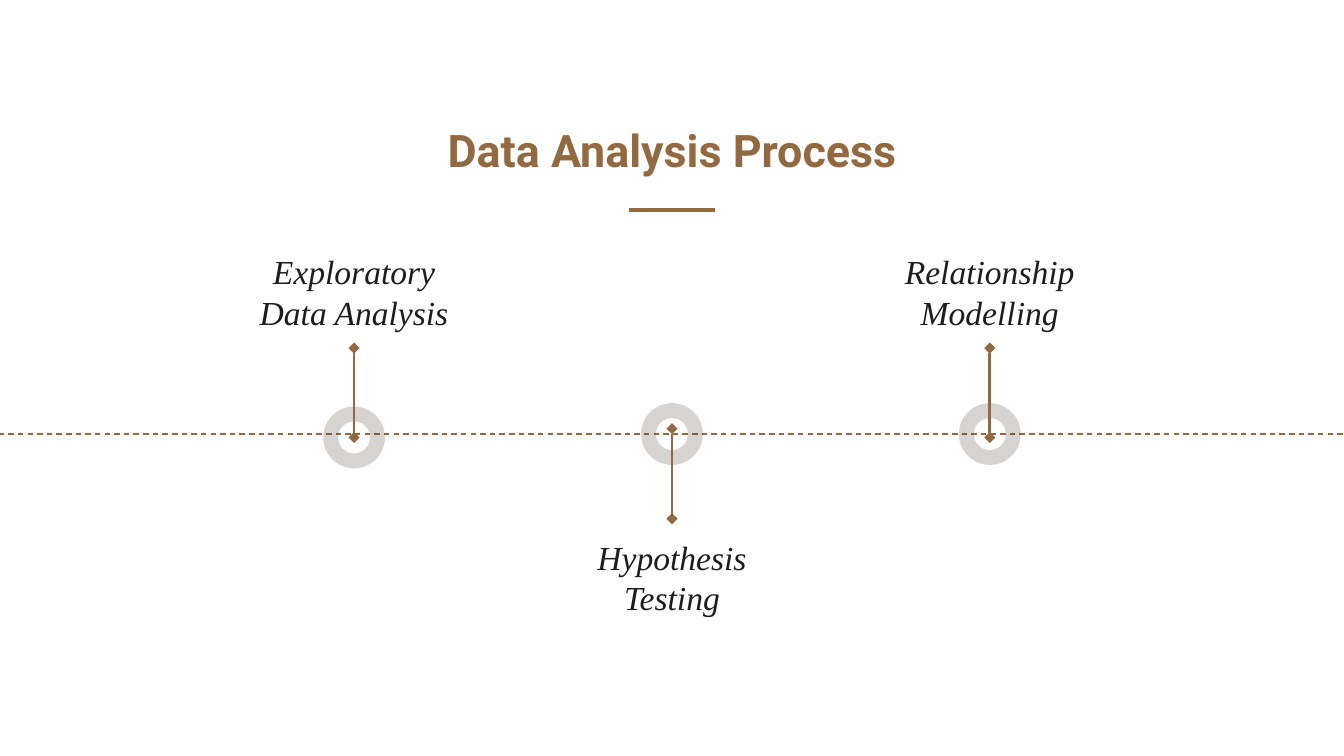
import pptx
import pptx.util
import pptx.dml.color
import pptx.enum.dml
import pptx.enum.shapes
import pptx.enum.text
import pptx.oxml.ns
import lxml.etree

PX = 4572  # 200 px to the inch
BROWN = "926940"
color = pptx.dml.color.RGBColor.from_string
tag = pptx.oxml.ns.qn


def write(shape, text, *, font, size, fill, bold=False, italic=False, anchor="TOP"):
    frame = shape.text_frame
    frame.word_wrap = True
    frame.auto_size = pptx.enum.text.MSO_AUTO_SIZE.NONE
    frame.vertical_anchor = pptx.enum.text.MSO_ANCHOR[anchor]
    frame.margin_left = frame.margin_right = frame.margin_top = frame.margin_bottom = 20 * PX
    paragraph = frame.paragraphs[0]
    paragraph.alignment = pptx.enum.text.PP_ALIGN.CENTER
    run = paragraph.add_run()
    run.text = text
    run.font.name = font
    run.font.size = pptx.util.Pt(size)
    run.font.bold = bold
    run.font.italic = italic
    run.font.color.rgb = color(fill)


def draw_line(x1, y1, x2, y2, width, dashed=False, diamonds=False):
    line = slide.shapes.add_connector(
        pptx.enum.shapes.MSO_CONNECTOR.STRAIGHT, x1 * PX, y1 * PX, x2 * PX, y2 * PX)
    line.line.color.rgb = color(BROWN)
    line.line.width = pptx.util.Pt(width)
    if dashed:
        line.line.dash_style = pptx.enum.dml.MSO_LINE.DASH
    properties = line._element.spPr
    if diamonds:
        for end in ("a:headEnd", "a:tailEnd"):
            lxml.etree.SubElement(properties.find(tag("a:ln")), tag(end), type="diamond")
    lxml.etree.SubElement(properties, tag("a:effectLst"))


presentation = pptx.Presentation()
presentation.slide_width = 2000 * PX
presentation.slide_height = 1125 * PX
slide = presentation.slides.add_slide(presentation.slide_layouts[5])

# Title and its rule
title = slide.shapes.title
title.left, title.top, title.width, title.height = 413 * PX, 95 * PX, 1174 * PX, 188 * PX
write(title, "Data Analysis Process", font="Roboto", size=24, fill=BROWN, bold=True, anchor="BOTTOM")
draw_line(936, 312, 1064, 312, 2.25)

# Timeline
draw_line(-2, 646, 2002, 646, 0.75, dashed=True)

# Steps: text, centre, ring top, stem start and end, label top and width
RING = 92
steps = [
    ("Exploratory Data Analysis", 527, 605, 651, 518, 354, 374),
    ("Hypothesis Testing", 1000, 600, 638, 772, 779, 324),
    ("Relationship Modelling", 1473, 600, 651, 518, 354, 332),
]
for text, center, ring_top, stem_start, stem_end, label_top, label_width in steps:
    ring = slide.shapes.add_shape(
        pptx.enum.shapes.MSO_SHAPE.DONUT,
        (center - RING // 2) * PX, ring_top * PX, RING * PX, RING * PX)
    ring.adjustments[0] = 0.24
    ring.shadow.inherit = False
    ring.line.fill.background()
    ring.fill.solid()
    ring.fill.fore_color.rgb = color("403228")
    ring_color = ring._element.spPr.find(".//" + tag("a:srgbClr"))
    lxml.etree.SubElement(ring_color, tag("a:alpha"), val="21000")

    draw_line(center, stem_start, center, stem_end, 1.5, diamonds=True)

    label = slide.shapes.add_textbox(
        (center - label_width // 2) * PX, label_top * PX, label_width * PX, 90 * PX)
    write(label, text, font="Times New Roman", size=18, fill="1D1D1B", italic=True)

presentation.save("out.pptx")
